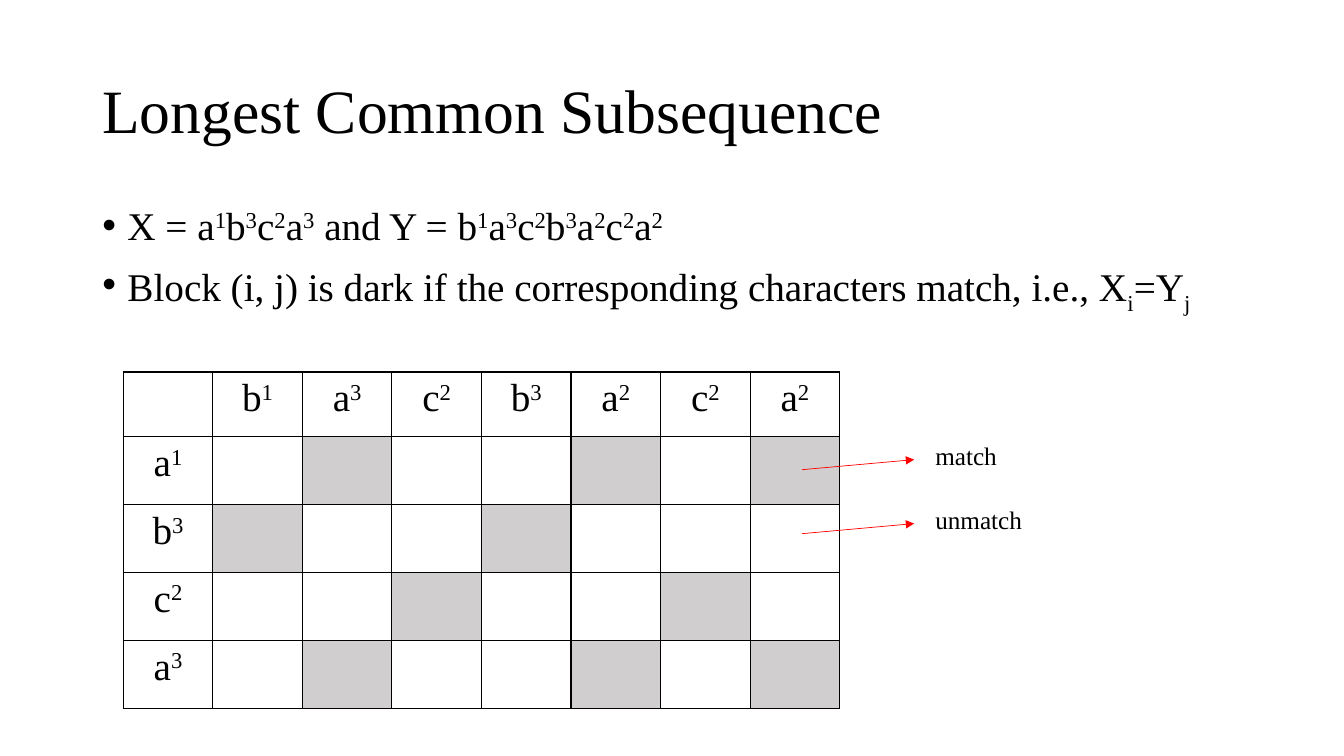
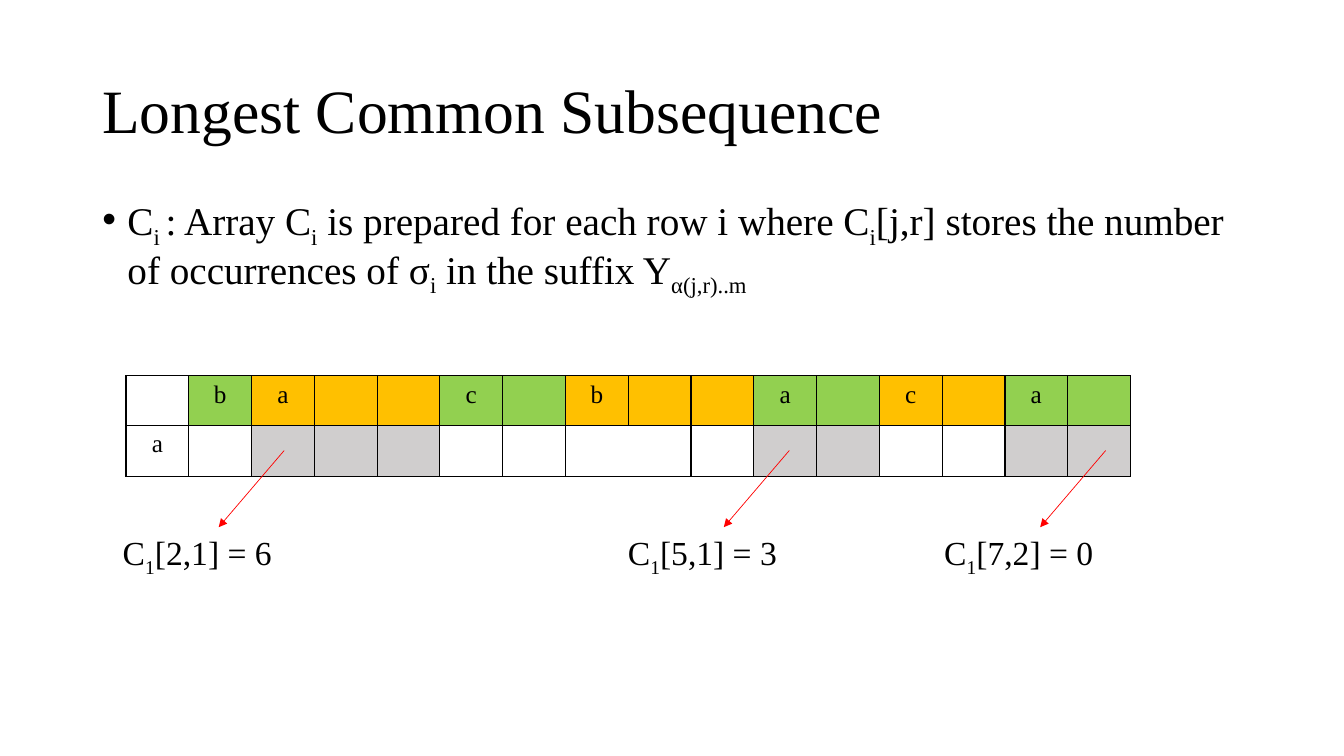
from lxml.etree import SubElement
from pptx import Presentation
from pptx.dml.color import RGBColor
from pptx.enum.shapes import MSO_CONNECTOR
from pptx.enum.text import MSO_ANCHOR, PP_ALIGN
from pptx.oxml.ns import qn
from pptx.util import Pt

FONT = "Times New Roman"
BLACK, RED, GRAY = "000000", "FF0000", "D0CECE"
BLOCK_COLORS = ("92D050", "FFC000")
TITLE = "Longest Common Subsequence"
BASELINES = {"^": "30000", "_": "-25000"}
X_BLOCKS = ("a1", "b3", "c2", "a3")
Y_BLOCKS = ("b1", "a3", "c2", "b3", "a2", "c2", "a2")


def color(hex_string):
    """Turn a hex string into a colour."""
    return RGBColor.from_string(hex_string)


def blocks_text(blocks):
    """Mark the digit of each block as superscript."""
    return "|".join(f"{letter}|^{count}" for letter, count in blocks)


def write(paragraph, text, size=18, align=None, spacing=None, before=None, bullet=False):
    """Write runs split by bars, where ^ raises a run and _ lowers it."""
    if bullet:
        properties = paragraph._p.get_or_add_pPr()
        properties.set("marL", str(Pt(18)))
        properties.set("indent", str(Pt(-18)))
        SubElement(properties, qn("a:buFont")).set("typeface", "Arial")
        SubElement(properties, qn("a:buChar")).set("char", "•")
    paragraph.alignment = align
    paragraph.line_spacing = spacing
    paragraph.space_before = before
    for part in text.split("|"):
        run = paragraph.add_run()
        baseline = BASELINES.get(part[:1])
        run.text = part[1:] if baseline else part
        run.font.name = FONT
        run.font.size = Pt(size)
        run.font.color.rgb = color(BLACK)
        if baseline:
            run._r.get_or_add_rPr().set("baseline", baseline)


def add_text(slide, box, texts, anchor=MSO_ANCHOR.TOP, wrap=True, **style):
    """Add a text box with one paragraph for each text."""
    frame = slide.shapes.add_textbox(*map(Pt, box)).text_frame
    frame.word_wrap = wrap
    frame.vertical_anchor = anchor
    for index, text in enumerate(texts):
        paragraph = frame.add_paragraph() if index else frame.paragraphs[0]
        write(paragraph, text, before=Pt(10) if index else None, **style)


def add_content_slide(presentation, top, bullets):
    """Add a slide with the shared title and a bulleted body."""
    slide = presentation.slides.add_slide(presentation.slide_layouts[6])
    add_text(slide, (66, 28.8, 828, 104.4), [TITLE], MSO_ANCHOR.MIDDLE, size=44, spacing=0.9)
    add_text(slide, (66, top, 828, 342.7), bullets, size=28, spacing=0.9, bullet=True)
    return slide


def add_arrow(slide, start, end):
    """Add a thin red arrow."""
    connector = slide.shapes.add_connector(MSO_CONNECTOR.STRAIGHT, *map(Pt, start + end))
    connector.line.color.rgb = color(RED)
    connector.line.width = Pt(0.5)
    properties = connector._element.spPr
    SubElement(properties.find(qn("a:ln")), qn("a:tailEnd")).set("type", "triangle")
    SubElement(properties, qn("a:effectLst"))


def style_cell(cell, text, fill, size, open_sides=""):
    """Set the borders, fill and text of a cell."""
    properties = cell._tc.get_or_add_tcPr()
    for side in "LRTB":
        border = SubElement(properties, qn(f"a:ln{side}"))
        border.set("w", str(Pt(1)))
        if side in open_sides:
            SubElement(border, qn("a:noFill"))
        else:
            solid = SubElement(border, qn("a:solidFill"))
            SubElement(solid, qn("a:srgbClr")).set("val", BLACK)
    if fill:
        cell.fill.solid()
        cell.fill.fore_color.rgb = color(fill)
    else:
        cell.fill.background()
    if text:
        write(cell.text_frame.paragraphs[0], text, size=size, align=PP_ALIGN.CENTER)


def add_grid(slide, left, top, column_width, heights, rows, size, open_sides=None):
    """Add a table from rows of text and fill pairs."""
    columns = len(rows[0])
    box = map(Pt, (left, top, column_width * columns, sum(heights)))
    table = slide.shapes.add_table(len(rows), columns, *box).table
    table.first_row = table.horz_banding = False
    for column in table.columns:
        column.width = Pt(column_width)
    for row_index, (height, row) in enumerate(zip(heights, rows)):
        table.rows[row_index].height = Pt(height)
        for column_index, (text, fill) in enumerate(row):
            sides = (open_sides or {}).get((row_index, column_index), "")
            style_cell(table.cell(row_index, column_index), text, fill, size, sides)


def build_block_slide(presentation):
    """Build the grid of matching blocks."""
    slide = add_content_slide(presentation, 144, [
        f"X = {blocks_text(X_BLOCKS)}| and Y = {blocks_text(Y_BLOCKS)}",
        "Block (i, j) is dark if the corresponding characters match, i.e., X|_i|=Y|_j",
    ])
    rows = [[("", None)] + [(blocks_text([block]), None) for block in Y_BLOCKS]]
    for x_block in X_BLOCKS:
        matches = [("", GRAY if x_block[0] == y_block[0] else None) for y_block in Y_BLOCKS]
        rows.append([(blocks_text([x_block]), None)] + matches)
    add_grid(slide, 88, 265.7, 64, [46.4] + [48.5] * len(X_BLOCKS), rows, 28)
    for index, (label, width) in enumerate((("match", 59), ("unmatch", 77))):
        shift = index * 45.7
        add_arrow(slide, (573, 335.5 + shift), (653, 328.3 + shift))
        add_text(slide, (661, 311 + shift, width, 29), [label], wrap=False)


def build_array_slide(presentation):
    """Build the expanded row with its array values."""
    slide = add_content_slide(presentation, 137.5, [
        "C|_i |: Array C|_i| is prepared for each row i where C|_i|[j,r] stores the number "
        "of occurrences of σ|_i| in the suffix Y|_α(j,r)..m",
    ])
    header, values = [("", None)], [("a", None)]
    for index, (letter, count) in enumerate(Y_BLOCKS):
        for position in range(int(count)):
            header.append(("" if position else letter, BLOCK_COLORS[index % 2]))
            values.append(("", GRAY if letter == "a" else None))
    add_grid(slide, 90, 268.5, 44.86, (35.3, 36.7), [header, values], 18,
             {(1, 7): "R", (1, 8): "L"})
    for left, entry in ((80.6, "[2,1] = 6"), (441.4, "[5,1] = 3"), (667.4, "[7,2] = 0")):
        add_arrow(slide, (left + 122.4, 321.8), (left + 75.6, 376.6))
        add_text(slide, (left, 376.6, 172.8, 36), [f"C|_1|{entry}"], size=24)


def main():
    """Build and save the presentation."""
    presentation = Presentation()
    presentation.slide_width, presentation.slide_height = Pt(960), Pt(540)
    build_block_slide(presentation)
    build_array_slide(presentation)
    presentation.save("out.pptx")


if __name__ == "__main__":
    main()
